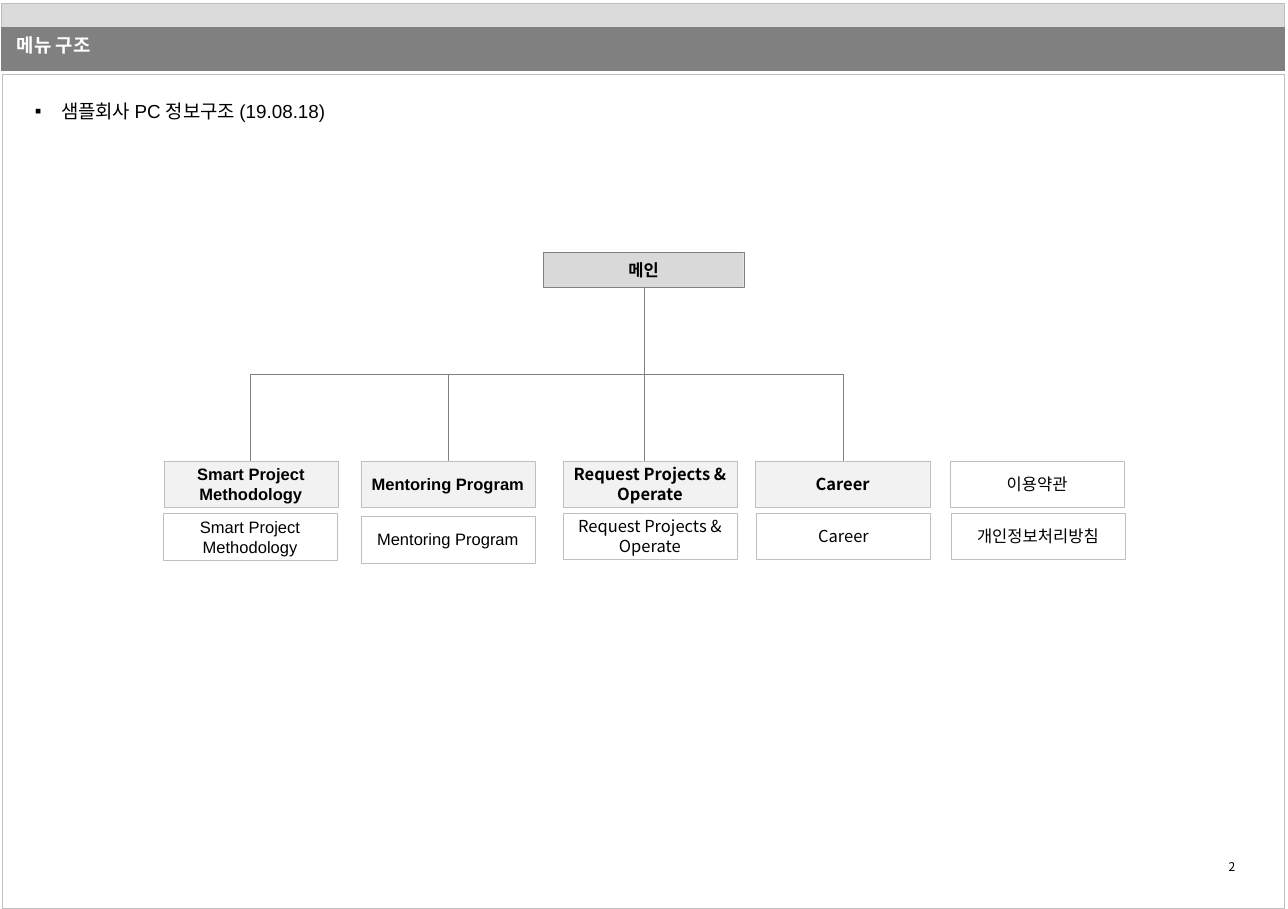
import dataclasses
import typing

import lxml.etree
import pptx
import pptx.dml.color
import pptx.enum.shapes
import pptx.enum.text
import pptx.oxml.ns
import pptx.util

Inches = pptx.util.Inches
Pt = pptx.util.Pt
Align = pptx.enum.text.PP_ALIGN
Anchor = pptx.enum.text.MSO_ANCHOR
AutoSize = pptx.enum.text.MSO_AUTO_SIZE

SANS = "Arial"
KOREAN = "Noto Sans CJK KR"
BLACK, WHITE, GRAY = "000000", "FFFFFF", "808080"
EDGE, HEADING_FILL = "BFBFBF", "F2F2F2"
MENU_WIDTH, MENU_HEIGHT, MENU_TOP = 2.05, 0.55, 5.43
BUS_TOP = 4.41
ROOT_BOTTOM = 3.38


@dataclasses.dataclass(frozen=True)
class Panel:
    left: float
    top: float
    width: float
    height: float
    fill: typing.Optional[str]
    edge: str
    weight: float
    text: str = ""
    font: str = SANS
    bold: bool = False
    side: float = 0.08


@dataclasses.dataclass(frozen=True)
class Menu:
    name: str
    left: float
    child_left: float
    child_top: float
    font: str
    side: float = 0.08


@dataclasses.dataclass(frozen=True)
class Link:
    start: tuple[float, float]
    end: tuple[float, float]


FRAMES = [
    Panel(0.03, 0.88, 15.1, 9.83, None, "C0C0C0", 0.75),
    Panel(0.02, 0.04, 15.11, 0.31, "DBDBDB", EDGE, 1),
    Panel(0.02, 0.32, 15.11, 0.51, GRAY, GRAY, 1),
]
ROOT = Panel(6.4, 2.97, 2.36, 0.41, "D9D9D9", GRAY, 0.25, "메인", bold=True)
MENUS = [
    Menu("Smart Project Methodology", 1.93, 1.92, 6.05, SANS),
    Menu("Mentoring Program", 4.25, 4.25, 6.08, SANS),
    Menu("Request Projects & Operate", 6.63, 6.63, 6.04, KOREAN, 0),
    Menu("Career", 8.9, 8.91, 6.04, KOREAN, 0),
]
POLICIES = [
    Panel(11.19, MENU_TOP, MENU_WIDTH, MENU_HEIGHT, WHITE, EDGE, 0.25, "이용약관", KOREAN),
    Panel(11.2, 6.04, MENU_WIDTH, MENU_HEIGHT, WHITE, EDGE, 0.25, "개인정보처리방침"),
]
DROPS = [2.95, 5.28, 9.93]
LINKS = [
    Link((DROPS[0], BUS_TOP), (DROPS[-1], BUS_TOP)),
    Link((7.59, ROOT_BOTTOM), (7.59, MENU_TOP)),
    *(Link((left, BUS_TOP), (left, MENU_TOP)) for left in DROPS),
]


def color(value: str) -> pptx.dml.color.RGBColor:
    return pptx.dml.color.RGBColor.from_string(value)


def apply(target: typing.Any, values: dict[str, typing.Any]) -> None:
    for name, value in values.items():
        setattr(target, name, value)


def place(box: typing.Any, left: float, top: float, width: float, height: float) -> None:
    apply(box, {"left": Inches(left), "top": Inches(top),
                "width": Inches(width), "height": Inches(height)})


def write(box: typing.Any, text: str, font: str, size: float, ink: str = BLACK,
          bold: bool = False, align: Align = Align.CENTER) -> typing.Any:
    para = box.text_frame.paragraphs[0]
    apply(para, {"alignment": align, "space_before": Pt(0)})
    span = para.add_run()
    span.text = text
    apply(span.font, {"name": font, "size": Pt(size), "bold": bold})
    span.font.color.rgb = color(ink)
    return para


def draw_panel(page: typing.Any, panel: Panel) -> None:
    box = page.shapes.add_shape(
        pptx.enum.shapes.MSO_SHAPE.RECTANGLE, Inches(panel.left), Inches(panel.top),
        Inches(panel.width), Inches(panel.height))
    box.shadow.inherit = False
    if panel.fill:
        box.fill.solid()
        box.fill.fore_color.rgb = color(panel.fill)
    else:
        box.fill.background()
    box.line.color.rgb = color(panel.edge)
    box.line.width = Pt(panel.weight)
    if panel.text:
        apply(box.text_frame, {
            "word_wrap": True, "vertical_anchor": Anchor.MIDDLE,
            "margin_left": Inches(panel.side), "margin_right": Inches(panel.side),
            "margin_top": Inches(0.04), "margin_bottom": Inches(0.04)})
        write(box, panel.text, panel.font, 14, bold=panel.bold)


def draw_menu(page: typing.Any, menu: Menu) -> None:
    size = (MENU_WIDTH, MENU_HEIGHT)
    draw_panel(page, Panel(menu.left, MENU_TOP, *size, HEADING_FILL, EDGE, 0.25,
                           menu.name, menu.font, True, menu.side))
    draw_panel(page, Panel(menu.child_left, menu.child_top, *size, WHITE, EDGE, 0.25,
                           menu.name, menu.font))


def draw_link(page: typing.Any, link: Link) -> None:
    line = page.shapes.add_connector(
        pptx.enum.shapes.MSO_CONNECTOR.STRAIGHT,
        *(Inches(value) for value in (*link.start, *link.end)))
    line.line.color.rgb = color(GRAY)
    line.line.width = Pt(0.5)
    lxml.etree.SubElement(line.element.spPr, pptx.oxml.ns.qn("a:effectLst"))


def draw_title(page: typing.Any) -> None:
    title = page.shapes.title
    title.element.getparent().append(title.element)
    place(title, 0, 0.31, 14.28, 0.48)
    apply(title.text_frame, {
        "vertical_anchor": Anchor.MIDDLE, "auto_size": AutoSize.NONE,
        "margin_left": Inches(0.2), "margin_right": Inches(0.12),
        "margin_top": Inches(0.06), "margin_bottom": Inches(0.06)})
    para = write(title, "메뉴 구조", KOREAN, 16, WHITE, True, Align.LEFT)
    para.line_spacing = 0.9


def draw_subject(page: typing.Any) -> None:
    body = page.placeholders[1]
    place(body, 0.31, 1.13, 3.93, 0.37)
    apply(body.text_frame, {"word_wrap": False, "auto_size": AutoSize.SHAPE_TO_FIT_TEXT})
    para = write(body, "샘플회사 PC 정보구조 (19.08.18)", SANS, 16, align=Align.LEFT)
    layout = para._p.get_or_add_pPr()
    layout.set("marL", str(Inches(0.31)))
    layout.set("indent", str(Inches(-0.31)))
    bullet = lxml.etree.SubElement(layout, pptx.oxml.ns.qn("a:buChar"))
    bullet.set("char", "▪")


def draw_page_number(page: typing.Any) -> None:
    box = page.shapes.add_textbox(Inches(14.32), Inches(10.08), Inches(0.38), Inches(0.27))
    apply(box.text_frame, {"word_wrap": False, "auto_size": AutoSize.SHAPE_TO_FIT_TEXT})
    write(box, "2", KOREAN, 10.2)


def main() -> None:
    deck = pptx.Presentation()
    apply(deck, {"slide_width": Inches(15.17), "slide_height": Inches(10.71)})
    page = deck.slides.add_slide(deck.slide_layouts[1])
    draw_page_number(page)
    for frame in FRAMES:
        draw_panel(page, frame)
    draw_title(page)
    draw_subject(page)
    draw_panel(page, ROOT)
    for link in LINKS:
        draw_link(page, link)
    for menu in MENUS:
        draw_menu(page, menu)
    for policy in POLICIES:
        draw_panel(page, policy)
    deck.save("out.pptx")


if __name__ == "__main__":
    main()
